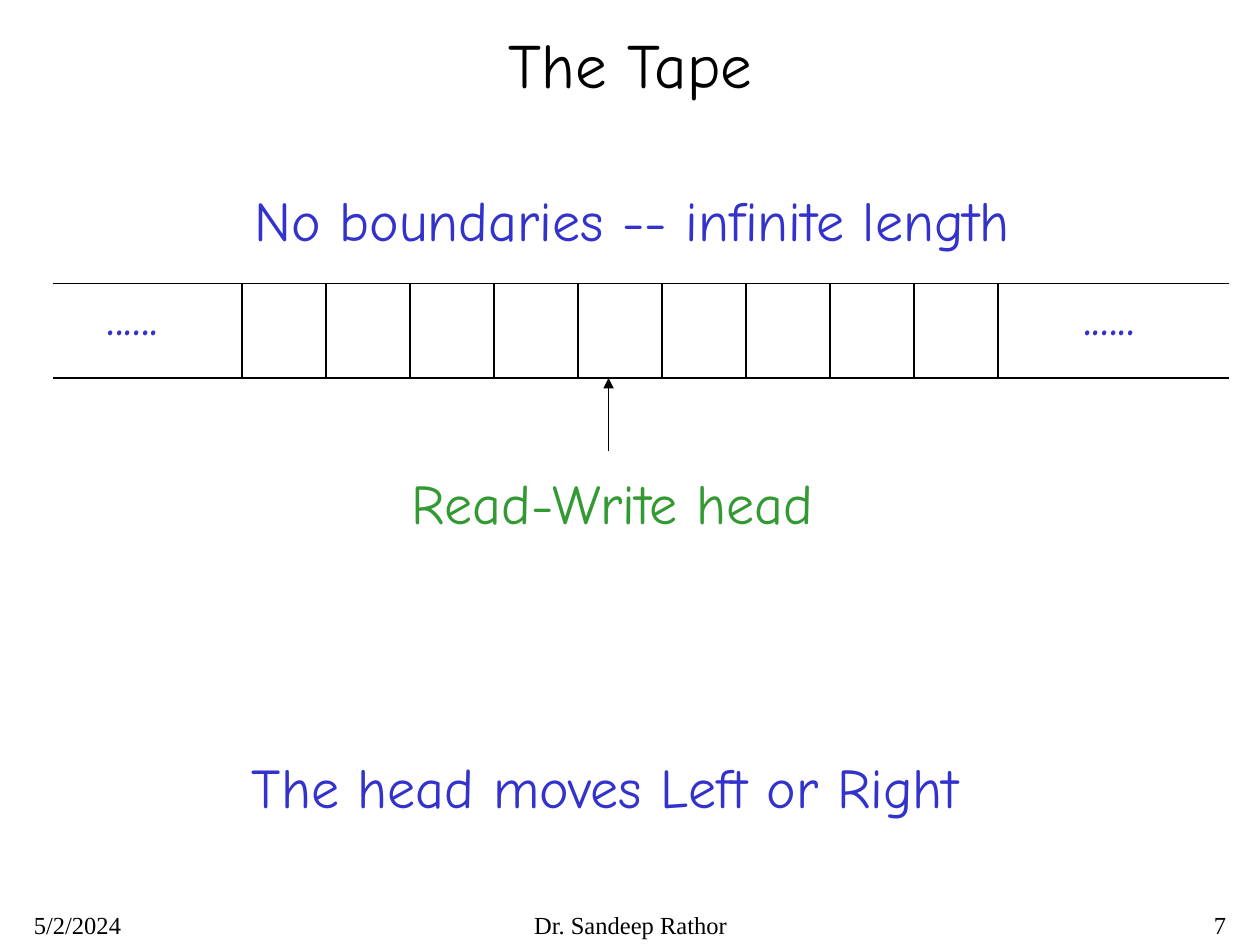
"""Build the slide that shows the unbounded tape and its read-write head."""
from lxml import etree
from pptx import Presentation
from pptx.dml.color import RGBColor
from pptx.enum.shapes import MSO_CONNECTOR
from pptx.enum.text import MSO_ANCHOR, PP_ALIGN
from pptx.oxml.ns import qn
from pptx.util import Inches, Pt

STRAIGHT = MSO_CONNECTOR.STRAIGHT
LEFT, CENTER, RIGHT = PP_ALIGN.LEFT, PP_ALIGN.CENTER, PP_ALIGN.RIGHT
TOP, MIDDLE = MSO_ANCHOR.TOP, MSO_ANCHOR.MIDDLE
BLACK = RGBColor(0x00, 0x00, 0x00)
BLUE = RGBColor(0x33, 0x33, 0xCC)
GREEN = RGBColor(0x33, 0x99, 0x33)

TAPE_LEFT, TAPE_RIGHT = 0.42, 9.75
TAPE_TOP, TAPE_BOTTOM = 2.25, 3
FIRST_DIVIDER, CELL_WIDTH, DIVIDERS = 1.92, 2 / 3, 10
HEAD_X = 4.83


class TapeSlide:
    """Hold the style and the slide being drawn."""

    heading_font = "Comic Neue"
    footer_font = "Times New Roman"

    def __init__(self, slide):
        """Keep the slide to draw on."""
        self.slide = slide

    def text(self, content, left, top, width, height, size=32, color=BLUE,
             font=heading_font, align=LEFT, anchor=TOP):
        """Add one line of styled text."""
        frame = self.slide.shapes.add_textbox(
            Inches(left), Inches(top), Inches(width), Inches(height)).text_frame
        frame.word_wrap = True
        frame.vertical_anchor = anchor
        frame.text = content
        paragraph = frame.paragraphs[0]
        paragraph.alignment = align
        style = paragraph.runs[0].font
        style.name = font
        style.size = Pt(size)
        style.color.rgb = color

    def footer(self, content, left, width, align):
        """Add one entry of the footer row."""
        self.text(content, left, 7.17, width, 0.33, size=14, color=BLACK,
                  font=self.footer_font, align=align)

    def line(self, x1, y1, x2, y2, arrow=False):
        """Add a thin black line, with an arrowhead at its end if asked."""
        connector = self.slide.shapes.add_connector(
            STRAIGHT, Inches(x1), Inches(y1), Inches(x2), Inches(y2))
        connector.line.color.rgb = BLACK
        connector.line.width = Pt(0.75)
        if arrow:
            outline = connector.line._get_or_add_ln()
            etree.SubElement(outline, qn("a:tailEnd"), type="triangle")
        etree.SubElement(connector._element.spPr, qn("a:effectLst"))


def main():
    """Draw the slide and save it."""
    deck = Presentation()
    deck.slide_width, deck.slide_height = Inches(10), Inches(7.5)
    tape = TapeSlide(deck.slides.add_slide(deck.slide_layouts[6]))

    tape.text("The Tape", 0.17, 0.17, 9.67, 0.67, size=36, color=BLACK,
              align=CENTER, anchor=MIDDLE)
    tape.text("No boundaries -- infinite length", 1.92, 1.42, 6.76, 0.63)

    for edge in (TAPE_TOP, TAPE_BOTTOM):
        tape.line(TAPE_LEFT, edge, TAPE_RIGHT, edge)
    for index in range(DIVIDERS):
        divider = FIRST_DIVIDER + index * CELL_WIDTH
        tape.line(divider, TAPE_TOP, divider, TAPE_BOTTOM)
    for ellipsis_left in (0.75, 8.5):
        tape.text("......", ellipsis_left, 2.17, 0.87, 0.63)

    tape.line(HEAD_X, 3.58, HEAD_X, TAPE_BOTTOM, arrow=True)
    tape.text("Read-Write head", 3.17, 3.67, 3.77, 0.63, color=GREEN)
    tape.text("The head moves Left or Right", 1.9, 5.92, 6.38, 0.63)

    tape.footer("5/2/2024", 0.17, 2.08, LEFT)
    tape.footer("Dr. Sandeep Rathor", 3.42, 3.17, CENTER)
    tape.footer("7", 7.75, 2.08, RIGHT)

    deck.save("out.pptx")


if __name__ == "__main__":
    main()
